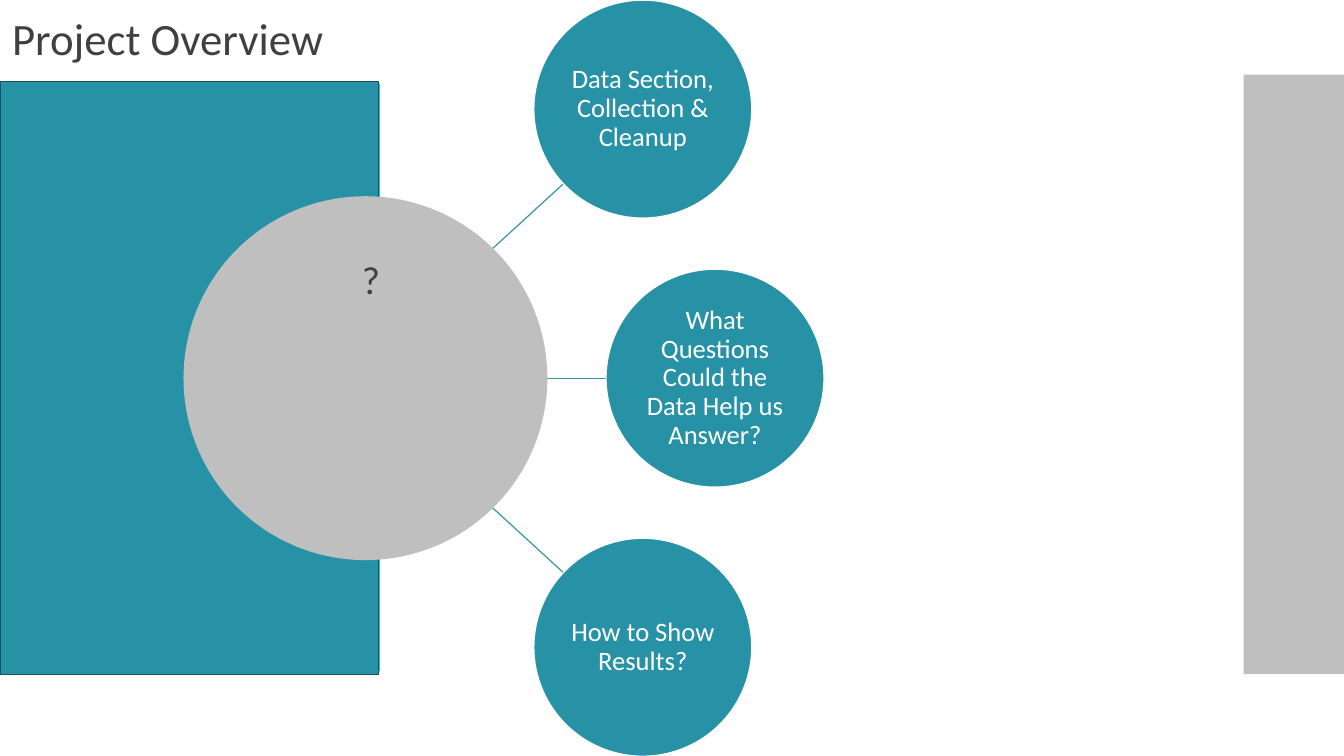
from lxml import etree
from pptx import Presentation
from pptx.dml.color import RGBColor
from pptx.enum.shapes import MSO_CONNECTOR, MSO_SHAPE
from pptx.enum.text import MSO_ANCHOR, MSO_AUTO_SIZE, PP_ALIGN
from pptx.oxml.ns import qn
from pptx.util import Cm, Pt

RECT, OVAL = MSO_SHAPE.RECTANGLE, MSO_SHAPE.OVAL
STRAIGHT = MSO_CONNECTOR.STRAIGHT
LEFT, CENTER = PP_ALIGN.LEFT, PP_ALIGN.CENTER
TOP, MIDDLE = MSO_ANCHOR.TOP, MSO_ANCHOR.MIDDLE

TEAL, GRAY, DARK, WHITE = "2791A6", "BFBFBF", "404040", "FFFFFF"


def color(value):
    return RGBColor.from_string(value)


class SlideBuilder:
    font = "Calibri"
    line_width = Pt(0.85)

    def __init__(self, slide):
        self.slide = slide

    def set_text(self, sp, text, size, text_color, align=LEFT, anchor=TOP):
        tf = sp.text_frame
        tf.text = text
        tf.word_wrap = True
        tf.auto_size = MSO_AUTO_SIZE.NONE
        tf.vertical_anchor = anchor
        p = tf.paragraphs[0]
        p.alignment = align
        font = p.runs[0].font
        font.name, font.size = self.font, Pt(size)
        font.color.rgb = color(text_color)
        return tf

    def title(self, text, x, y, w, h):
        sp = self.slide.shapes.title
        sp.left, sp.top, sp.width, sp.height = Cm(x), Cm(y), Cm(w), Cm(h)
        self.set_text(sp, text, 32, DARK)

    def label(self, text, x, y, w, h):
        sp = self.slide.shapes.add_textbox(Cm(x), Cm(y), Cm(w), Cm(h))
        self.set_text(sp, text, 28, DARK, CENTER)

    def shape(self, kind, x, y, w, h, fill, line=None):
        sp = self.slide.shapes.add_shape(kind, Cm(x), Cm(y), Cm(w), Cm(h))
        sp.shadow.inherit = False
        sp.fill.solid()
        sp.fill.fore_color.rgb = color(fill)
        if line:
            sp.line.color.rgb = color(line)
            sp.line.width = self.line_width
        else:
            sp.line.fill.background()
        return sp

    def circle(self, cx, cy, d, fill, line=None):
        return self.shape(OVAL, cx - d / 2, cy - d / 2, d, d, fill, line)

    def topic(self, text, cx, cy, d):
        sp = self.circle(cx, cy, d, TEAL, WHITE)
        tf = self.set_text(sp, text, 19, WHITE, CENTER, MIDDLE)
        tf.margin_left = tf.margin_right = Cm(0.03)
        tf.margin_top = tf.margin_bottom = Cm(0.03)
        tf.paragraphs[0].line_spacing = 0.9

    def spoke(self, x1, y1, x2, y2):
        line = self.slide.shapes.add_connector(
            STRAIGHT, Cm(x1), Cm(y1), Cm(x2), Cm(y2))
        line.line.color.rgb = color("3395A8")
        line.line.width = self.line_width
        etree.SubElement(line._element.spPr, qn("a:effectLst"))


def main():
    prs = Presentation()
    prs.slide_width, prs.slide_height = Cm(33.87), Cm(19.05)
    s = SlideBuilder(prs.slides.add_slide(prs.slide_layouts[5]))

    # Title and side panels
    s.title("Project Overview", 0.05, 0.15, 12.93, 1.63)
    s.shape(RECT, 0, 2.11, 9.58, 14.81, "40BAD2")
    s.shape(RECT, 0, 2.06, 9.55, 14.94, TEAL, "1C525C")
    s.shape(RECT, 31.34, 1.88, 2.62, 15.11, GRAY)

    # Topics: text, centre x, spoke end x, spoke end distance from the middle
    topics = [
        ("Data Section, Collection & Cleanup", 16.2, 14.2, 4.9),
        ("What Questions Could the Data Help us Answer?", 18.02, 15.27, 0),
        ("How to Show Results?", 16.2, 14.2, 4.9),
    ]
    middle, pitch = 9.53, 6.78

    # Spokes lie behind the hub
    for side, (_, _, end_x, end_dy) in enumerate(topics, -1):
        start_dy = 2.97 * side
        s.spoke(12.09, middle + start_dy, end_x, middle + end_dy * side)

    # Hub and topic circles
    s.circle(9.21, middle, 9.17, GRAY)
    for side, (text, cx, _, _) in enumerate(topics, -1):
        s.topic(text, cx, middle + pitch * side, 5.49)
    s.label("?", 5.77, 6.32, 7.16, 1.45)

    prs.save("out.pptx")


if __name__ == "__main__":
    main()
